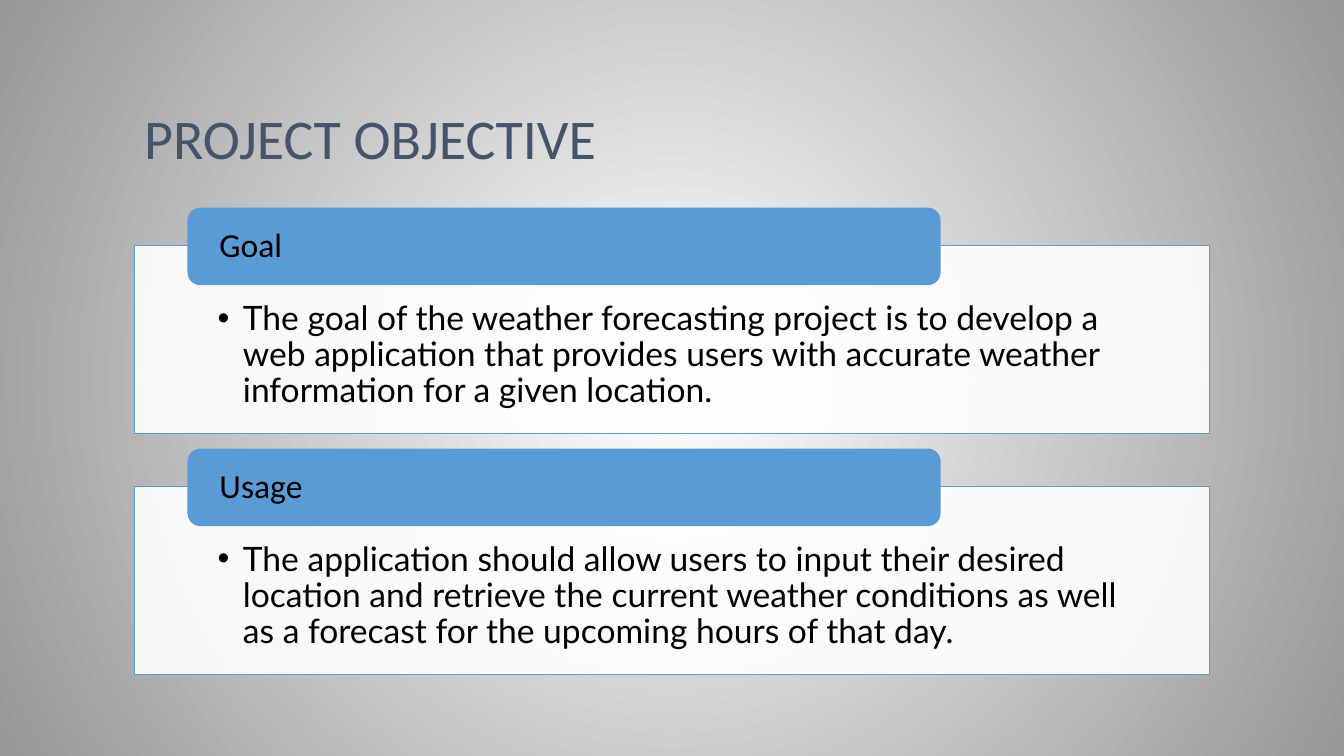
from lxml.etree import SubElement
from pptx import Presentation
from pptx.dml.color import RGBColor
from pptx.enum.shapes import MSO_SHAPE as Shape
from pptx.enum.text import MSO_ANCHOR as Anchor, MSO_AUTO_SIZE as AutoSize, PP_ALIGN as Align
from pptx.oxml.ns import qn
from pptx.util import Inches, Pt

WHITE = RGBColor(0xFF, 0xFF, 0xFF)
GREY = RGBColor(0x97, 0x97, 0x97)
BLUE = RGBColor(0x5B, 0x9B, 0xD5)
SLATE = RGBColor(0x44, 0x54, 0x6A)
BLACK = RGBColor(0, 0, 0)

LEFT, WIDTH = 1.33, 10.67
FIRST_TOP, PITCH = 2.06, 2.39
PANEL_DROP = 0.38  # from the top of a heading to the top of its panel

SECTIONS = [
    ("Goal", "The goal of the weather forecasting project is to develop a web application "
             "that provides users with accurate weather information for a given location."),
    ("Usage", "The application should allow users to input their desired location and retrieve "
              "the current weather conditions as well as a forecast for the upcoming hours of that day."),
]


def write_text(shape, text, size=24, font="Calibri", color=BLACK, anchor=Anchor.MIDDLE,
               insets=(0.1, 0.05, 0.1, 0.05), bullet=False):
    """Fill a shape with one left-aligned paragraph; insets run left, top, right, bottom."""
    frame = shape.text_frame
    frame.word_wrap = True
    frame.auto_size = AutoSize.NONE
    frame.vertical_anchor = anchor
    (frame.margin_left, frame.margin_top,
     frame.margin_right, frame.margin_bottom) = map(Inches, insets)
    para = frame.paragraphs[0]
    para.alignment = Align.LEFT
    para.line_spacing = 0.9
    span = para.add_run()
    span.text = text
    span.font.size = Pt(size)
    span.font.name = font
    span.font.color.rgb = color
    if bullet:
        properties = para._p.get_or_add_pPr()
        properties.set("marL", str(Inches(0.25)))
        properties.set("indent", str(Inches(-0.25)))
        SubElement(properties, qn("a:buFont")).set("typeface", "Arial")
        SubElement(properties, qn("a:buChar")).set("char", "•")


class SlideBuilder:
    def __init__(self, deck):
        self.page = deck.slides.add_slide(deck.slide_layouts[5])

    def radial_background(self, inner, outer):
        fill = self.page.background.fill
        fill.gradient()
        for stop, position, color in zip(fill.gradient_stops, (0, 1), (inner, outer)):
            stop.position = position
            stop.color.rgb = color
        gradient = self.page.element.find(".//" + qn("a:gradFill"))
        gradient.remove(gradient.find(qn("a:lin")))
        circle = SubElement(gradient, qn("a:path"), path="circle")
        SubElement(circle, qn("a:fillToRect"), l="50000", t="50000", r="50000", b="50000")

    def title(self, text):
        box = self.page.shapes.title
        box.left, box.top, box.width, box.height = map(Inches, (LEFT, 0.3, WIDTH, 1.45))
        write_text(box, text, size=40, color=SLATE, anchor=Anchor.BOTTOM)

    def shape(self, kind, left, top, width, height, color):
        box = self.page.shapes.add_shape(kind, *map(Inches, (left, top, width, height)))
        box.shadow.inherit = False
        box.fill.solid()
        box.fill.fore_color.rgb = color
        box.line.fill.background()
        return box

    def panel(self, top, text):
        box = self.shape(Shape.RECTANGLE, LEFT, top, WIDTH, 1.86, WHITE)
        tint = box._element.spPr.find(qn("a:solidFill")).find(qn("a:srgbClr"))
        SubElement(tint, qn("a:alpha")).set("val", "90000")
        box.line.color.rgb = BLUE
        box.line.width = Pt(0.75)
        write_text(box, text, font="Lato", anchor=Anchor.TOP,
                   insets=(0.83, 0.55, 0.83, 0.19), bullet=True)

    def heading(self, top, text):
        box = self.shape(Shape.ROUNDED_RECTANGLE, 1.86, top, 7.47, 0.77, BLUE)
        write_text(box, text, insets=(0.28, 0, 0.28, 0))


def main():
    deck = Presentation()
    deck.slide_width, deck.slide_height = Inches(13.33), Inches(7.5)
    builder = SlideBuilder(deck)
    builder.radial_background(WHITE, GREY)
    builder.title("PROJECT OBJECTIVE")
    for index, (name, description) in enumerate(SECTIONS):
        top = FIRST_TOP + index * PITCH
        builder.panel(top + PANEL_DROP, description)
        builder.heading(top, name)
    deck.save("out.pptx")


if __name__ == "__main__":
    main()
